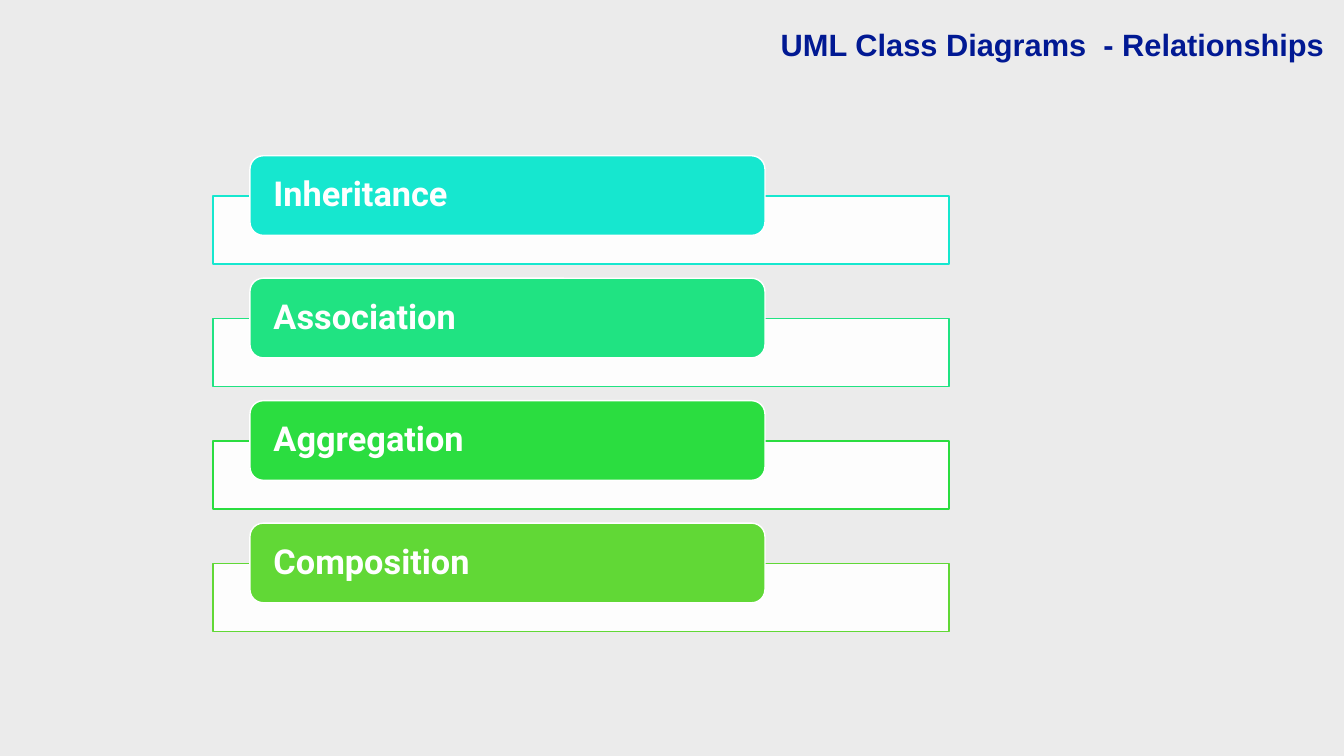
from lxml import etree
from pptx import Presentation
from pptx.dml.color import RGBColor
from pptx.enum.shapes import MSO_SHAPE
from pptx.enum.text import MSO_ANCHOR, PP_ALIGN
from pptx.oxml.ns import qn
from pptx.util import Inches, Pt

RECTANGLE = MSO_SHAPE.RECTANGLE
ROUNDED = MSO_SHAPE.ROUNDED_RECTANGLE
TOP, MIDDLE = MSO_ANCHOR.TOP, MSO_ANCHOR.MIDDLE
LEFT, RIGHT = PP_ALIGN.LEFT, PP_ALIGN.RIGHT

WHITE = "FFFFFF"
RELATIONSHIPS = [
    ("Inheritance", "16E7CF"),
    ("Association", "20E382"),
    ("Aggregation", "2BDD40"),
    ("Composition", "61D836"),
]
FIRST_TOP, ROW_STEP = 3.09, 2.43


def color(hex_text):
    return RGBColor.from_string(hex_text)


class SlideBuilder:
    title_font, label_font = "Arial", "Roboto"
    title_size, label_size = 44, 49
    title_color, background = "011993", "EBEBEB"
    line_width = 2

    def __init__(self, page):
        self.page = page
        fill = page.background.fill
        fill.solid()
        fill.fore_color.rgb = color(self.background)

    def set_text(self, box, text, font, size, hex_text, align, anchor, side, edge):
        frame = box.text_frame
        frame.word_wrap = True
        frame.vertical_anchor = anchor
        frame.margin_left = frame.margin_right = Inches(side)
        frame.margin_top = frame.margin_bottom = Inches(edge)
        para = frame.paragraphs[0]
        para.text = text
        para.alignment = align
        para.font.name = font
        para.font.size = Pt(size)
        para.font.bold = True
        para.font.color.rgb = color(hex_text)
        return para

    def title(self, text, left, top, width, height):
        box = self.page.shapes.add_textbox(
            Inches(left), Inches(top), Inches(width), Inches(height))
        self.set_text(box, text, self.title_font, self.title_size,
                      self.title_color, RIGHT, TOP, 0.06, 0.1)

    def block(self, kind, left, top, width, height, fill, line):
        shape = self.page.shapes.add_shape(
            kind, Inches(left), Inches(top), Inches(width), Inches(height))
        shape.shadow.inherit = False
        shape.fill.solid()
        shape.fill.fore_color.rgb = color(fill)
        shape.line.color.rgb = color(line)
        shape.line.width = Pt(self.line_width)
        return shape

    def panel(self, left, top, width, height, line):
        shape = self.block(RECTANGLE, left, top, width, height, WHITE, line)
        # 90 % opaque fill
        fill_color = shape.element.spPr.find(qn("a:solidFill"))[0]
        etree.SubElement(fill_color, qn("a:alpha"), val="90000")

    def label(self, text, left, top, width, height, fill):
        shape = self.block(ROUNDED, left, top, width, height, fill, WHITE)
        para = self.set_text(shape, text, self.label_font, self.label_size,
                             WHITE, LEFT, MIDDLE, 0.39, 0)
        para.line_spacing = 0.9


def main():
    deck = Presentation()
    deck.slide_width, deck.slide_height = Inches(26.67), Inches(15)
    builder = SlideBuilder(deck.slides.add_slide(deck.slide_layouts[6]))

    # Heading
    builder.title("UML Class Diagrams  - Relationships", 9.73, 0.41, 16.62, 1.59)

    # One panel with an overlapping label per relationship
    for index, (name, accent) in enumerate(RELATIONSHIPS):
        top = FIRST_TOP + index * ROW_STEP
        builder.panel(4.23, top + 0.8, 14.6, 1.35, accent)
        builder.label(name, 4.96, top, 10.22, 1.58, accent)

    deck.save("out.pptx")


if __name__ == "__main__":
    main()
